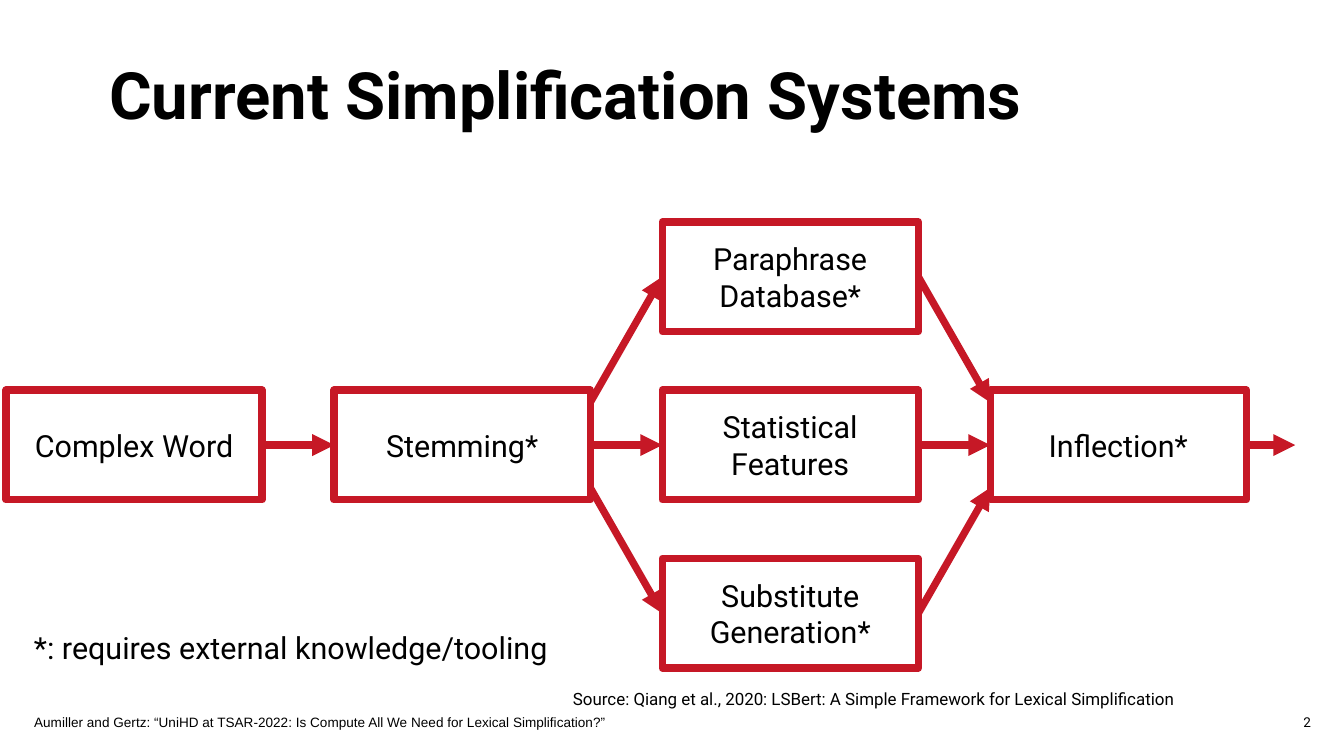
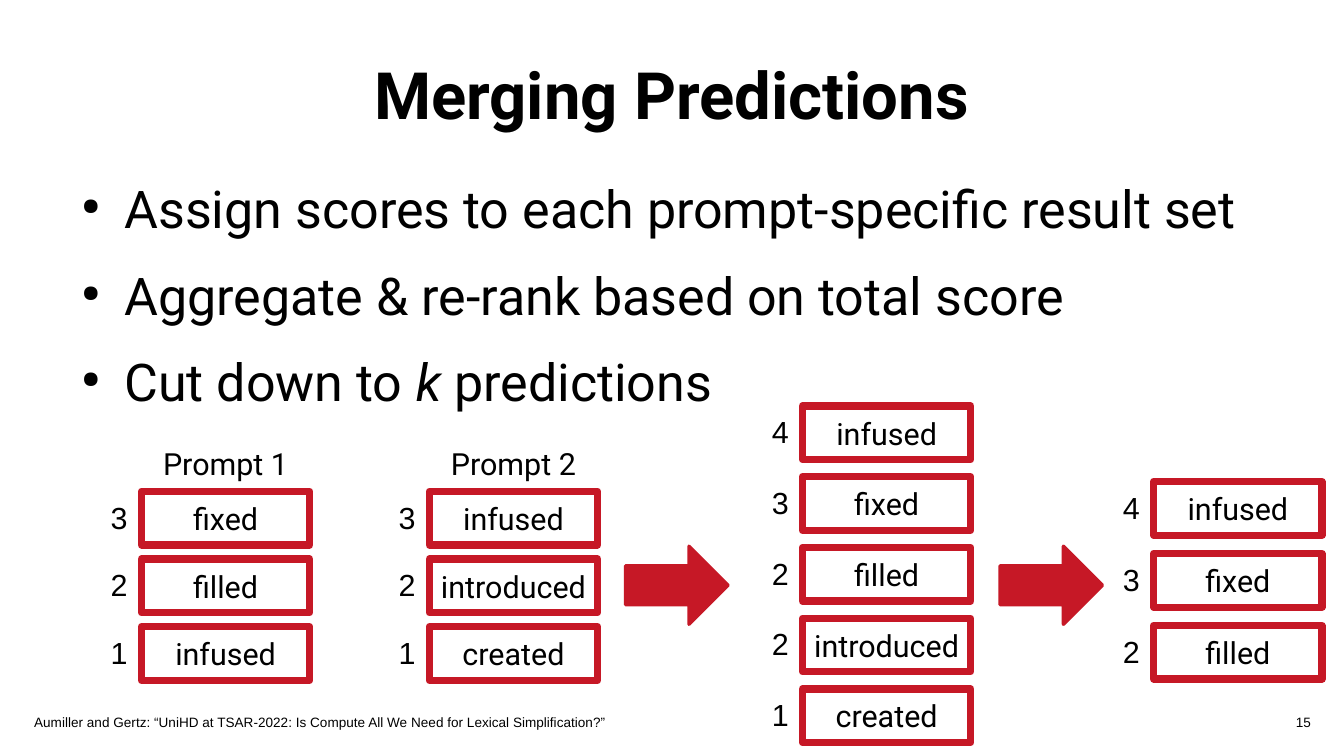
from lxml import etree
from pptx import Presentation
from pptx.dml.color import RGBColor
from pptx.enum.shapes import MSO_CONNECTOR, MSO_SHAPE
from pptx.enum.text import MSO_ANCHOR, PP_ALIGN
from pptx.oxml.ns import qn
from pptx.util import Inches, Pt

RECTANGLE, RIGHT_ARROW = MSO_SHAPE.RECTANGLE, MSO_SHAPE.RIGHT_ARROW
STRAIGHT = MSO_CONNECTOR.STRAIGHT
LEFT, CENTER, RIGHT = PP_ALIGN.LEFT, PP_ALIGN.CENTER, PP_ALIGN.RIGHT
TOP, MIDDLE, BOTTOM = MSO_ANCHOR.TOP, MSO_ANCHOR.MIDDLE, MSO_ANCHOR.BOTTOM
SIDE_LEFT, SIDE_RIGHT = 1, 3

SLIDE_W, SLIDE_H = 11.02, 6.2
COLORS = {"red": "C61826", "text": "000000"}
BODY, PLAIN = "Roboto", "Arial"
LINE_PT = 4.31
NO_INSET, INSET = (0, 0), (0.1, 0.05)

FOOTER = "Aumiller and Gertz: “UniHD at TSAR-2022: Is Compute All We Need for Lexical Simplification?”"

# Flow boxes: lines of text, column, row
FLOW = {
    "word": (["Complex Word"], 0, 1),
    "stemming": (["Stemming*"], 1, 1),
    "paraphrase": (["Paraphrase", "Database*"], 2, 0),
    "statistics": (["Statistical", "Features"], 2, 1),
    "substitute": (["Substitute", "Generation*"], 2, 2),
    "inflection": (["Inflection*"], 3, 1),
}
FLOW_LINKS = [
    ("word", "stemming"),
    ("stemming", "paraphrase"), ("stemming", "statistics"), ("stemming", "substitute"),
    ("paraphrase", "inflection"), ("statistics", "inflection"), ("substitute", "inflection"),
]
FLOW_LEFT, FLOW_TOP = 0.05, 1.82
FLOW_PITCH_X, FLOW_PITCH_Y = 2.69, 1.38
FLOW_W, FLOW_H = 2.1, 0.9
FAN_OFFSET = 0.35
EXIT_LENGTH = 0.4
LEGEND = "*: requires external knowledge/tooling"
SOURCE = "Source: Qiang et al., 2020: LSBert: A Simple Framework for Lexical Simplification"

# Each bullet is a list of (text, italic) runs
BULLETS = [
    [("Assign scores to each prompt-specific result set", False)],
    [("Aggregate & re-rank based on total score", False)],
    [("Cut down to ", False), ("k", True), (" predictions", False)],
]
# Ranked stacks: heading, left, top, pitch, (score, word) rows
STACKS = [
    ("Prompt 1", 1.16, 4.03, 0.555, [(3, "fixed"), (2, "filled"), (1, "infused")]),
    ("Prompt 2", 3.52, 4.03, 0.555, [(3, "infused"), (2, "introduced"), (1, "created")]),
    (None, 6.58, 3.33, 0.58,
     [(4, "infused"), (3, "fixed"), (2, "filled"), (2, "introduced"), (1, "created")]),
    (None, 9.46, 3.95, 0.59, [(4, "infused"), (3, "fixed"), (2, "filled")]),
]
WORD_W, WORD_H = 1.38, 0.44
SCORE_W, SCORE_H = 0.34, 0.4
BLOCK_ARROW_LEFTS, BLOCK_ARROW_TOP = (5.13, 8.2), 4.48
BLOCK_ARROW_W, BLOCK_ARROW_H = 0.84, 0.64


def rgb(name):
    return RGBColor.from_string(COLORS[name])


def add_run(paragraph, text, size, font=BODY, bold=False, italic=False):
    run = paragraph.add_run()
    run.text = text
    run.font.size, run.font.name = Pt(size), font
    run.font.bold, run.font.italic = bold, italic
    run.font.color.rgb = rgb("text")


def prepare_frame(shape, anchor, inset, wrap):
    frame = shape.text_frame
    frame.word_wrap, frame.vertical_anchor = wrap, anchor
    frame.margin_left = frame.margin_right = Inches(inset[0])
    frame.margin_top = frame.margin_bottom = Inches(inset[1])
    return frame


def write_lines(frame, lines, size, font=BODY, align=LEFT, bold=False):
    for i, line in enumerate(lines):
        paragraph = frame.add_paragraph() if i else frame.paragraphs[0]
        paragraph.alignment = align
        add_run(paragraph, line, size, font, bold)


def add_text(slide, area, text, size, font=BODY, align=LEFT, anchor=TOP,
             inset=INSET, bold=False, wrap=True):
    label = slide.shapes.add_textbox(*map(Inches, area))
    write_lines(prepare_frame(label, anchor, inset, wrap), [text], size, font, align, bold)


def add_box(slide, area, lines):
    """Red outlined box with centred text and rounded line joins."""
    box = slide.shapes.add_shape(RECTANGLE, *map(Inches, area))
    box.shadow.inherit = False
    box.fill.background()
    box.line.color.rgb, box.line.width = rgb("red"), Pt(LINE_PT)
    etree.SubElement(box._element.spPr.find(qn("a:ln")), qn("a:round"))
    write_lines(prepare_frame(box, MIDDLE, INSET, False), lines, 18, align=CENTER)
    return box


def add_arrow(slide, start, end):
    arrow = slide.shapes.add_connector(STRAIGHT, *map(Inches, (*start, *end)))
    arrow.line.color.rgb, arrow.line.width = rgb("red"), Pt(LINE_PT)
    properties = arrow._element.spPr
    etree.SubElement(properties.find(qn("a:ln")), qn("a:tailEnd"), type="triangle")
    etree.SubElement(properties, qn("a:effectLst"))
    return arrow


def add_slide(deck, title, number, title_left=0.55, title_width=9.92, number_font=PLAIN):
    slide = deck.slides.add_slide(deck.slide_layouts[6])
    add_text(slide, (0.28, 5.82, 7.34, 0.17), FOOTER, 8, PLAIN, anchor=BOTTOM, inset=NO_INSET)
    add_text(slide, (7.95, 5.82, 2.8, 0.17), number, 8, number_font, RIGHT, BOTTOM, NO_INSET)
    add_text(slide, (title_left, 0.25, title_width, 1.03), title, 38.5,
             align=CENTER, anchor=MIDDLE, inset=NO_INSET, bold=True)
    return slide


def add_bullets(slide):
    area = slide.shapes.add_textbox(*map(Inches, (0.55, 1.45, 9.92, 2.2)))
    frame = prepare_frame(area, TOP, NO_INSET, True)
    for i, runs in enumerate(BULLETS):
        paragraph = frame.add_paragraph() if i else frame.paragraphs[0]
        paragraph.space_before = Pt(14.2)
        properties = paragraph._p.get_or_add_pPr()
        properties.set("marL", str(Inches(0.47)))
        properties.set("indent", str(Inches(-0.35)))
        etree.SubElement(properties, qn("a:buSzPct"), val="45000")
        etree.SubElement(properties, qn("a:buChar"), char="●")
        for text, italic in runs:
            add_run(paragraph, text, 30.7, italic=italic)


def add_flow(slide):
    boxes, middles = {}, {}
    for key, (lines, column, row) in FLOW.items():
        left = FLOW_LEFT + column * FLOW_PITCH_X
        top = FLOW_TOP + row * FLOW_PITCH_Y
        boxes[key] = add_box(slide, (left, top, FLOW_W, FLOW_H), lines)
        middles[key] = (left, top + FLOW_H / 2)
    for source, target in FLOW_LINKS:
        row_step = FLOW[target][2] - FLOW[source][2]
        fans_out = row_step and source == "stemming"
        fans_in = row_step and target == "inflection"
        start_x, start_y = middles[source][0] + FLOW_W, middles[source][1]
        end_x, end_y = middles[target]
        if fans_out:
            start_y += row_step * FAN_OFFSET
        if fans_in:
            end_y -= row_step * FAN_OFFSET
        arrow = add_arrow(slide, (start_x, start_y), (end_x, end_y))
        if not fans_out:
            arrow.begin_connect(boxes[source], SIDE_RIGHT)
        if not fans_in:
            arrow.end_connect(boxes[target], SIDE_LEFT)
    left, middle = middles["inflection"]
    exit_x = left + FLOW_W
    way_out = add_arrow(slide, (exit_x, middle), (exit_x + EXIT_LENGTH, middle))
    way_out.begin_connect(boxes["inflection"], SIDE_RIGHT)


def add_stack(slide, heading, left, top, pitch, rows):
    if heading:
        add_text(slide, (left, top - 0.43, WORD_W, 0.4), heading, 18, align=CENTER)
    for i, (score, word) in enumerate(rows):
        row_top = top + i * pitch
        add_box(slide, (left, row_top, WORD_W, WORD_H), [word])
        add_text(slide, (left - 0.35, row_top + 0.01, SCORE_W, SCORE_H), str(score), 18,
                 PLAIN, wrap=False)


def add_block_arrow(slide, left):
    arrow = slide.shapes.add_shape(
        RIGHT_ARROW, *map(Inches, (left, BLOCK_ARROW_TOP, BLOCK_ARROW_W, BLOCK_ARROW_H)))
    arrow.shadow.inherit = False
    arrow.fill.solid()
    arrow.fill.fore_color.rgb = rgb("red")
    arrow.line.color.rgb, arrow.line.width = rgb("red"), Pt(2)


def main():
    deck = Presentation()
    deck.slide_width, deck.slide_height = Inches(SLIDE_W), Inches(SLIDE_H)

    systems = add_slide(deck, "Current Simplification Systems", "2",
                        title_left=0.1, title_width=9.08, number_font=BODY)
    add_flow(systems)
    add_text(systems, (0.18, 5.11, 4.6, 0.5), LEGEND, 18)
    add_text(systems, (4.6, 5.6, 5.4, 0.3), SOURCE, 10)

    merging = add_slide(deck, "Merging Predictions", "15")
    add_bullets(merging)
    for stack in STACKS:
        add_stack(merging, *stack)
    for left in BLOCK_ARROW_LEFTS:
        add_block_arrow(merging, left)

    deck.save("out.pptx")


if __name__ == "__main__":
    main()
